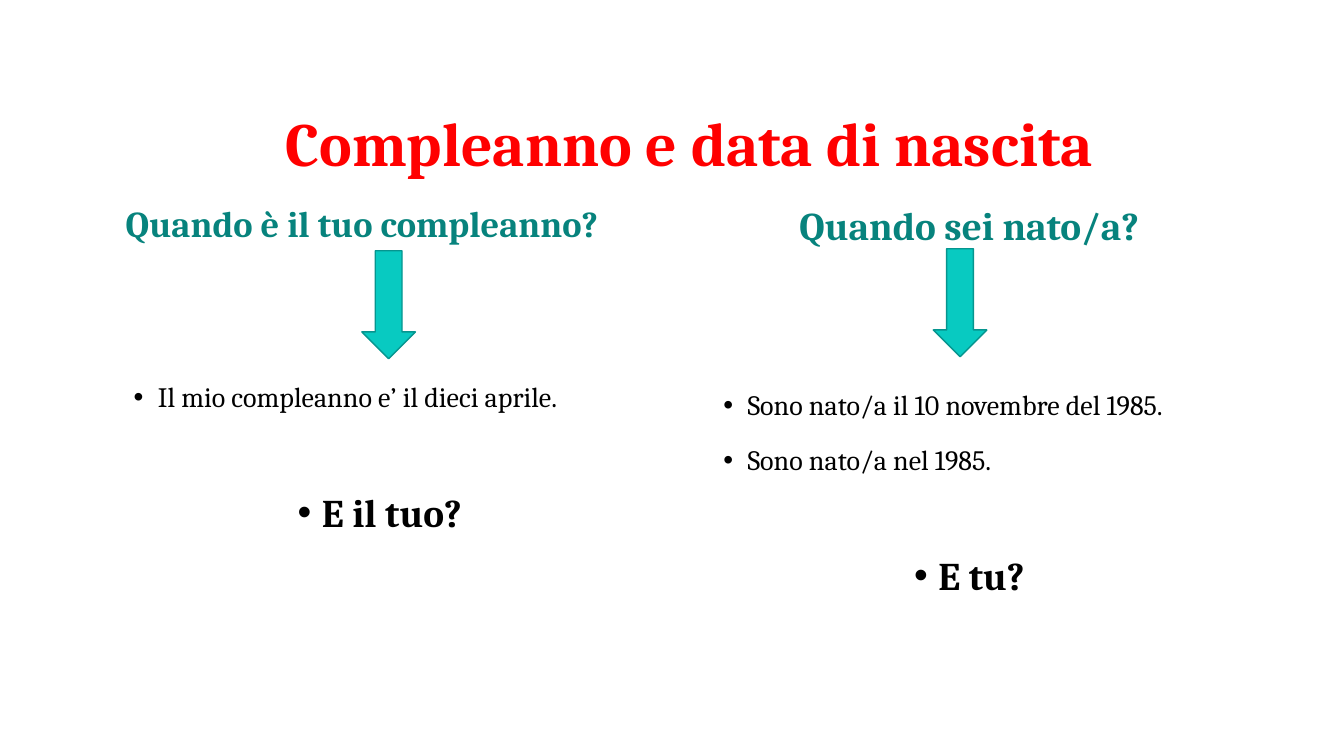
"""Build the slide on birthdays and dates of birth."""
from dataclasses import dataclass

from lxml import etree
from pptx import Presentation
from pptx import util as u
from pptx.dml.color import RGBColor
from pptx.enum import shapes, text
from pptx.oxml.ns import qn


@dataclass(frozen=True)
class Theme:
    font: str = "Cambria"
    red: str = "FF0000"
    teal: str = "07837D"
    aqua: str = "08CAC1"
    edge: str = "06958F"
    black: str = "000000"
    title: int = 44
    body: int = 20
    ask: int = 28
    gap: int = 18
    wide: int = 57
    lead: float = 0.9
    hang: float = 0.61


class Page:
    def __init__(self, deck, theme):
        self.theme = theme
        self.slide = deck.slides.add_slide(deck.slide_layouts[5])

    def style(self, par, size, color, bold=True, center=True):
        par.line_spacing = self.theme.lead
        par.alignment = text.PP_ALIGN.CENTER if center else text.PP_ALIGN.LEFT
        for run in par.runs:
            font = run.font
            font.name, font.size, font.bold = self.theme.font, u.Pt(size), bold
            font.color.rgb = RGBColor.from_string(color)

    def title(self, words, box):
        shape = self.slide.shapes.title
        shape.left, shape.top, shape.width, shape.height = map(u.Cm, box)
        frame = shape.text_frame
        frame.text = words
        frame.auto_size = text.MSO_AUTO_SIZE.NONE
        frame.vertical_anchor = text.MSO_ANCHOR.BOTTOM
        self.style(frame.paragraphs[0], self.theme.title, self.theme.red)

    def frame(self, box):
        frame = self.slide.shapes.add_textbox(*map(u.Cm, box)).text_frame
        frame.word_wrap = True
        return frame

    def head(self, words, box, size, center):
        frame = self.frame(box)
        frame.text = words
        self.style(frame.paragraphs[0], size, self.theme.teal, center=center)

    def bullet(self, par):
        props = par._p.get_or_add_pPr()
        hang = u.Cm(self.theme.hang)
        props.set("marL", str(hang))
        props.set("indent", str(-hang))
        etree.SubElement(props, qn("a:buFont")).set("typeface", "Arial")
        etree.SubElement(props, qn("a:buChar")).set("char", "•")

    def points(self, lines, ask, box):
        theme = self.theme
        frame = self.frame(box)
        frame.text = "\n".join([*lines, ask])
        for par in frame.paragraphs:
            self.bullet(par)
            self.style(par, theme.body, theme.black, False, False)
        for par in frame.paragraphs[1:]:
            par.space_before = u.Pt(theme.gap)
        last = frame.paragraphs[-1]
        last.space_before = u.Pt(theme.wide)
        self.style(last, theme.ask, theme.black)

    def arrow(self, box):
        kind = shapes.MSO_SHAPE.DOWN_ARROW
        shape = self.slide.shapes.add_shape(kind, *map(u.Cm, box))
        shape.shadow.inherit = False
        shape.fill.solid()
        shape.fill.fore_color.rgb = RGBColor.from_string(self.theme.aqua)
        shape.line.color.rgb = RGBColor.from_string(self.theme.edge)
        shape.line.width = u.Pt(1)


def main():
    deck = Presentation()
    deck.slide_width, deck.slide_height = u.Cm(33.87), u.Cm(19.05)
    page = Page(deck, Theme())
    page.title("Compleanno e data di nascita ", (4.22, 1.47, 26.67, 3.18))

    page.head("Quando è il tuo compleanno?", (2.92, 5.08, 13.41, 2.11), 26, False)
    page.points(["Il mio compleanno e’ il dieci aprile."], "E il tuo?",
                (3.12, 9.53, 12.9, 6.99))

    page.head("Quando sei nato/a?", (17.98, 5.08, 12.9, 2.11), 28, True)
    page.points(["Sono nato/a il 10 novembre del 1985.", "Sono nato/a nel 1985."],
                "E tu?", (17.98, 9.73, 12.9, 6.99))

    for left, top in ((9.12, 6.32), (23.52, 6.27)):
        page.arrow((left, top, 1.35, 2.72))
    deck.save("out.pptx")


if __name__ == "__main__":
    main()
